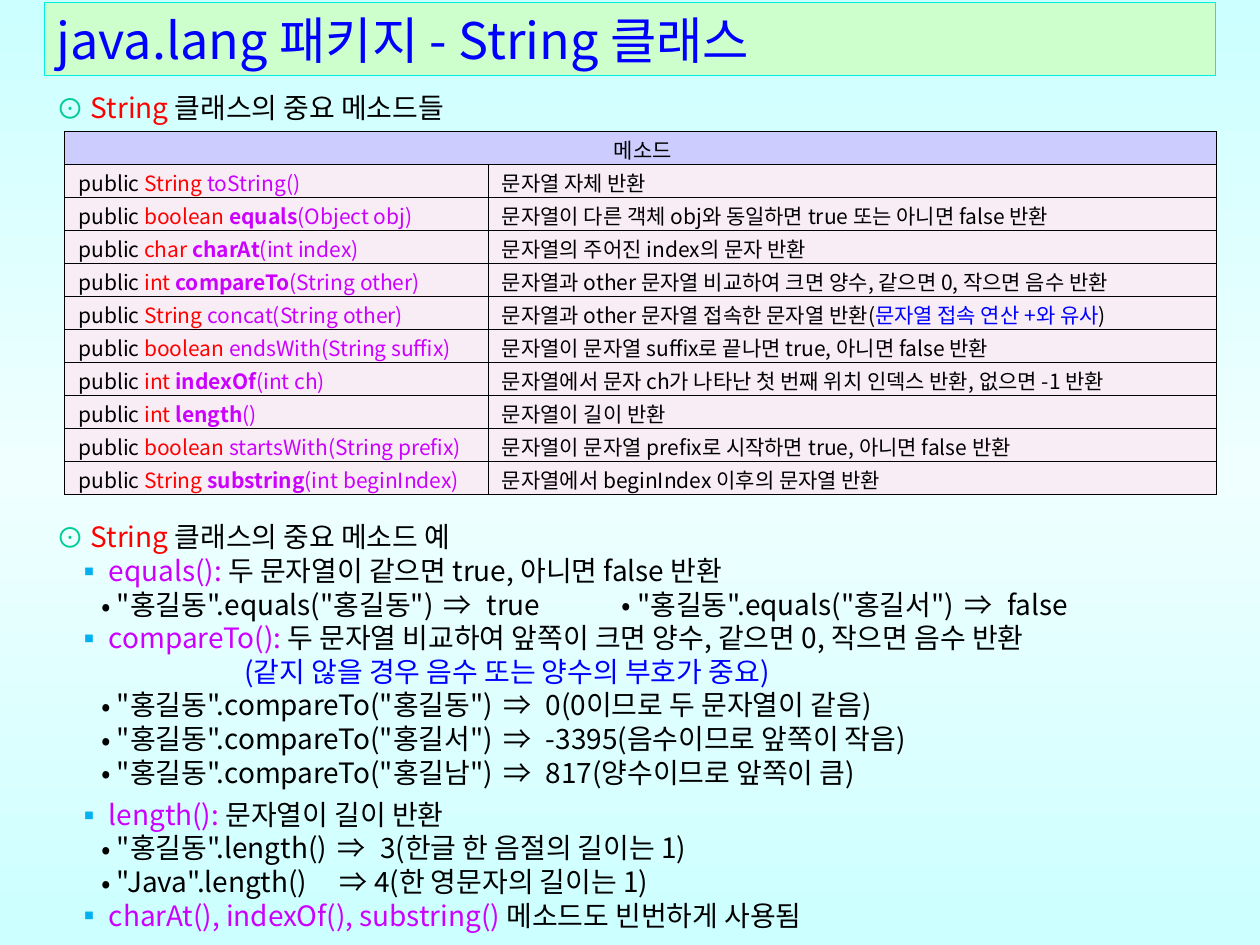
"""Build the slide on the important methods of the Java String class."""
from copy import deepcopy

from lxml.etree import SubElement
from pptx import Presentation
from pptx.dml.color import RGBColor
from pptx.enum.shapes import MSO_SHAPE as Shape
from pptx.enum.text import MSO_ANCHOR as Anchor, PP_ALIGN as Align
from pptx.oxml.ns import qn
from pptx.util import Pt

FONT = "Noto Sans CJK KR"
BLACK, RED, BLUE, PURPLE = "000000", "FF0000", "0000FF", "CC00FF"
GREEN, SKY = "00CC99", "00B0F0"
MINT, AQUA, LILAC, PINK = "CCFFCC", "03EDE2", "CCCCFF", "F9EDF5"
BACKGROUND = [(0, "CCFFFF"), (0.5, "F0FFFF"), (1, "CCFFFF")]
ARROW = " ⇒ "

TITLE = "java.lang 패키지 - String 클래스"
TABLE_HEADER = "메소드"
METHODS = [
    ("String", "", "toString()", [("문자열 자체 반환", BLACK)]),
    ("boolean", "equals", "(Object obj)",
     [("문자열이 다른 객체 obj와 동일하면 true 또는 아니면 false 반환", BLACK)]),
    ("char", "charAt", "(int index)", [("문자열의 주어진 index의 문자 반환", BLACK)]),
    ("int", "compareTo", "(String other)",
     [("문자열과 other 문자열 비교하여 크면 양수, 같으면 0, 작으면 음수 반환", BLACK)]),
    ("String", "", "concat(String other)",
     [("문자열과 other 문자열 접속한 문자열 반환(", BLACK),
      ("문자열 접속 연산 +와 유사", BLUE), (")", BLACK)]),
    ("boolean", "", "endsWith(String suffix)",
     [("문자열이 문자열 suffix로 끝나면 true, 아니면 false 반환", BLACK)]),
    ("int", "indexOf", "(int ch)",
     [("문자열에서 문자 ch가 나타난 첫 번째 위치 인덱스 반환, 없으면 -1 반환", BLACK)]),
    ("int", "length", "()", [("문자열이 길이 반환", BLACK)]),
    ("boolean", "", "startsWith(String prefix)",
     [("문자열이 문자열 prefix로 시작하면 true, 아니면 false 반환", BLACK)]),
    ("String", "substring", "(int beginIndex)",
     [("문자열에서 beginIndex 이후의 문자열 반환", BLACK)]),
]

LEVELS = {
    "heading": ("⊙", GREEN, 19.6, 19.6),
    "method": ("▪", SKY, 30, 19.2),
    "example": ("•", BLACK, 34.5, 8.5),
    "remark": (None, None, 107.5, 0),
}
METHODS_HEADING = [("heading", [("String ", RED), ("클래스의 중요 메소드들", BLACK)])]
EXAMPLES = [
    ("heading", [("String ", RED), ("클래스의 중요 메소드 예", BLACK)]),
    ("method", [("equals(): ", PURPLE),
                ("두 문자열이 같으면 true, 아니면 false 반환", BLACK)]),
    ("example", [('"홍길동".equals("홍길동") ⇒ true\t• "홍길동".equals("홍길서") ⇒ false', BLACK)], 323),
    ("method", [("compareTo(): ", PURPLE),
                ("두 문자열 비교하여 앞쪽이 크면 양수, 같으면 0, 작으면 음수 반환", BLACK)]),
    ("remark", [("(같지 않을 경우 음수 또는 양수의 부호가 중요)", BLUE)]),
    ("example", [('"홍길동".compareTo("홍길동") ⇒ 0(0이므로 두 문자열이 같음)', BLACK)]),
    ("example", [('"홍길동".compareTo("홍길서") ⇒ -3395(음수이므로 앞쪽이 작음)', BLACK)]),
    ("example", [('"홍길동".compareTo("홍길남") ⇒ 817(양수이므로 앞쪽이 큼)', BLACK)]),
    ("method", [("length(): ", PURPLE), ("문자열이 길이 반환", BLACK)], None, 5),
    ("example", [('"홍길동".length() ⇒ 3(한글 한 음절의 길이는 1)', BLACK)]),
    ("example", [('"Java".length()\t⇒ 4(한 영문자의 길이는 1)', BLACK)], 162),
    ("method", [("charAt(), indexOf(), substring() ", PURPLE),
                ("메소드도 빈번하게 사용됨", BLACK)]),
]


def rgb(value):
    return RGBColor.from_string(value)


def paint(fill, color):
    fill.solid()
    fill.fore_color.rgb = rgb(color)


def write(paragraph, pieces, size):
    """Fill a paragraph with (text, colour[, bold]) pieces."""
    paragraph.font.size = Pt(size)
    paragraph.font.name = FONT
    defaults = paragraph._p.pPr.find(qn("a:defRPr"))
    SubElement(defaults, qn("a:ea"), typeface=FONT)
    for text, color, *bold in pieces:
        for index, part in enumerate(text.split(ARROW)):
            for word in ([ARROW, part] if index else [part]):
                run = paragraph.add_run()
                run.text = word
                run.font.color.rgb = rgb(color)
                if any(bold):
                    run.font.bold = True
                if word == ARROW:
                    run.font._element.set("spc", "240")


def add_outline(slide, left, top, width, height, lines, pitch, align):
    """Add a text box of bulleted lines with a fixed line pitch."""
    frame = slide.shapes.add_textbox(Pt(left), Pt(top), Pt(width), Pt(height)).text_frame
    frame.word_wrap = True
    for index, (level, pieces, *extra) in enumerate(lines):
        paragraph = frame.add_paragraph() if index else frame.paragraphs[0]
        tab, before = (extra + [None, None])[:2]
        mark, mark_color, margin, hang = LEVELS[level]
        paragraph.alignment = align
        paragraph.line_spacing = Pt(pitch)
        if before:
            paragraph.space_before = Pt(before)
        properties = paragraph._p.get_or_add_pPr()
        properties.set("marL", str(Pt(margin)))
        properties.set("indent", str(-Pt(hang)))
        if mark:
            SubElement(SubElement(properties, qn("a:buClr")), qn("a:srgbClr"), val=mark_color)
            SubElement(properties, qn("a:buFont"), typeface=FONT)
            SubElement(properties, qn("a:buChar"), char=mark)
        if tab:
            SubElement(SubElement(properties, qn("a:tabLst")), qn("a:tab"),
                       pos=str(Pt(tab)), algn="l")
        write(paragraph, pieces, 16)


def fill_cell(cell, pieces, color, indent, align):
    """Write one bordered table cell."""
    cell.margin_left, cell.margin_right = Pt(indent), Pt(2)
    cell.margin_top, cell.margin_bottom = Pt(1.5), Pt(0)
    cell.vertical_anchor = Anchor.MIDDLE
    cell.text_frame.paragraphs[0].alignment = align
    write(cell.text_frame.paragraphs[0], pieces, 12)
    properties = cell._tc.get_or_add_tcPr()
    for side in ("lnL", "lnR", "lnT", "lnB"):
        line = SubElement(properties, qn("a:" + side), w=str(Pt(0.25)))
        SubElement(SubElement(line, qn("a:solidFill")), qn("a:srgbClr"), val=BLACK)
    paint(cell.fill, color)


def add_method_table(slide):
    row_height, widths = 18.9, (242, 416)
    count = len(METHODS) + 1
    table = slide.shapes.add_table(count, 2, Pt(36.8), Pt(75), Pt(sum(widths)),
                                   Pt(row_height * count)).table
    for column, width in zip(table.columns, widths):
        column.width = Pt(width)
    for row in table.rows:
        row.height = Pt(row_height)
    table.cell(0, 0).merge(table.cell(0, 1))
    fill_cell(table.cell(0, 0), [(TABLE_HEADER, BLACK)], LILAC, 5, Align.CENTER)
    fill_cell(table.cell(0, 1), [], LILAC, 5, Align.CENTER)
    for row, (kind, name, rest, description) in enumerate(METHODS, 1):
        signature = [("public ", BLACK), (kind + " ", RED)]
        if name:
            signature.append((name, PURPLE, True))
        signature.append((rest, PURPLE))
        for column, pieces in enumerate((signature, description)):
            fill_cell(table.cell(row, column), pieces, PINK, 8, Align.LEFT)


def add_title(slide):
    bar = slide.shapes.add_shape(Shape.RECTANGLE, Pt(25.2), Pt(1.5), Pt(669), Pt(41.6))
    bar.shadow.inherit = False
    paint(bar.fill, MINT)
    bar.line.color.rgb = rgb(AQUA)
    bar.line.width = Pt(0.25)
    bar.text_frame.word_wrap = True
    bar.text_frame.vertical_anchor = Anchor.MIDDLE
    paragraph = bar.text_frame.paragraphs[0]
    paragraph.alignment = Align.LEFT
    write(paragraph, [(TITLE, BLUE)], 28.8)


def set_background(slide):
    fill = slide.background.fill
    fill.gradient()
    fill.gradient_angle = 90
    first = fill.gradient_stops[0]._gs
    first.addnext(deepcopy(first))
    for stop, (position, color) in zip(fill.gradient_stops, BACKGROUND):
        stop.position = position
        stop.color.rgb = rgb(color)


def main():
    deck = Presentation()
    deck.slide_width, deck.slide_height = Pt(720), Pt(540)
    slide = deck.slides.add_slide(deck.slide_layouts[6])
    set_background(slide)
    add_title(slide)
    add_outline(slide, 25.2, 45.4, 663, 29.5, METHODS_HEADING, 22, Align.LEFT)
    add_method_table(slide)
    add_outline(slide, 25.2, 293.6, 657, 244.8, EXAMPLES, 19.2, Align.JUSTIFY)
    deck.save("out.pptx")


if __name__ == "__main__":
    main()
